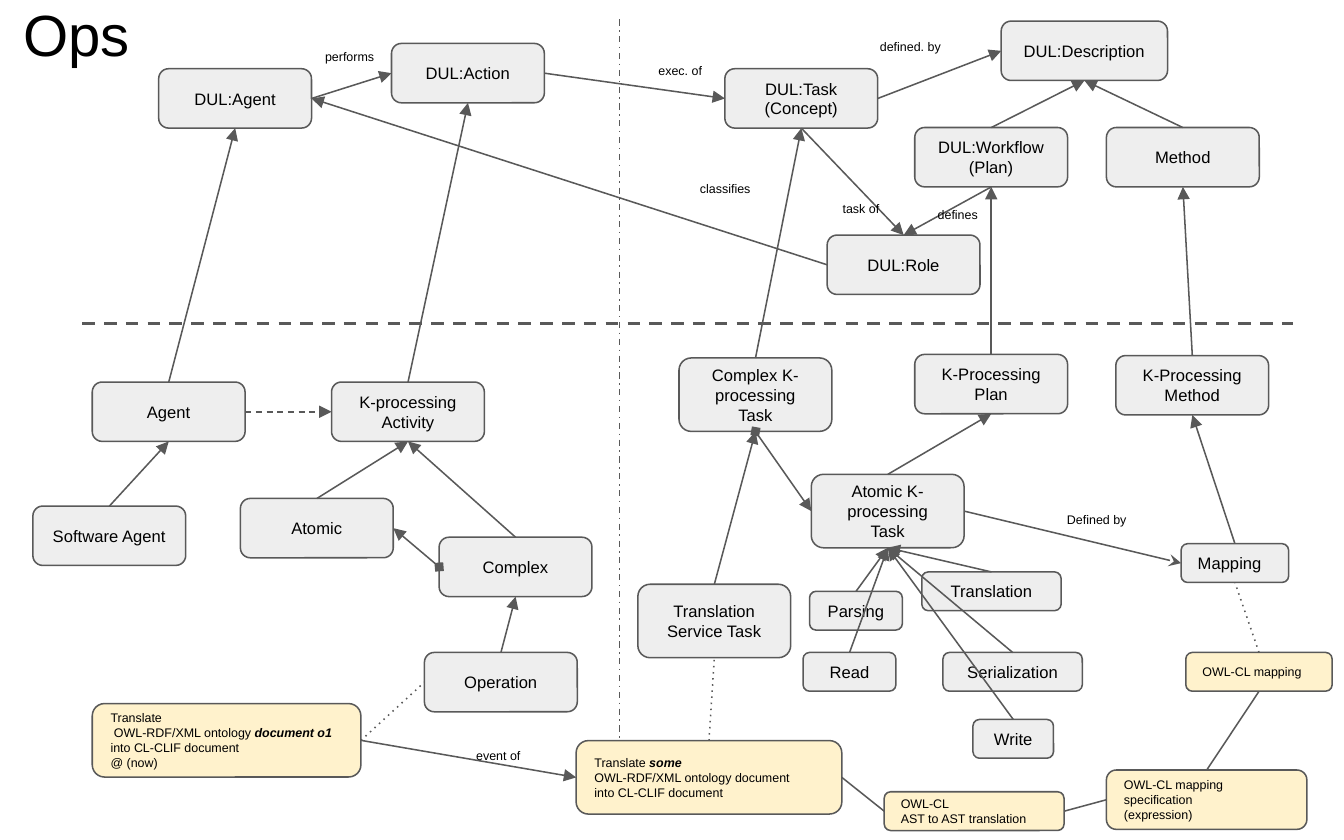
"""Builds the Ops slide: a map of agents, tasks, plans and their links."""
import pptx
import pptx.enum.shapes
import pptx.enum.text
import pptx.oxml
import pptx.oxml.ns
import pptx.util
from lxml import etree
from pptx.util import Cm

HUES = {"node": "EEEEEE", "note": "FFF2CC", "line": "595959", "text": "000000"}
FONT = "Arial"
TOP, LEFT, BASE, RIGHT = range(4)
HIGH, TALL, SLIM = 1.01, 1.25, 0.66
WIDE = 2.6

NODES = {
    "action": ("DUL:Action", 6.66, 0.74, WIDE, HIGH),
    "actor": ("DUL:Agent", 2.7, 1.17, WIDE, HIGH),
    "task": ("DUL:Task\n(Concept)", 12.33, 1.17, WIDE, HIGH),
    "about": ("DUL:Description", 17.03, 0.36, 2.83, HIGH),
    "flow": ("DUL:Workflow\n(Plan)", 15.56, 2.17, WIDE, HIGH),
    "method": ("Method", 18.82, 2.17, WIDE, HIGH),
    "role": ("DUL:Role", 14.07, 4, WIDE, HIGH),
    "agent": ("Agent", 1.57, 6.5, WIDE, HIGH),
    "act": ("K-processing Activity", 5.64, 6.5, WIDE, HIGH),
    "soft": ("Software Agent", 0.56, 8.61, WIDE, HIGH),
    "atom": ("Atomic", 4.09, 8.48, WIDE, HIGH),
    "complex": ("Complex", 7.47, 9.14, WIDE, HIGH),
    "run": ("Operation", 7.22, 11.1, WIDE, HIGH),
    "whole": ("Complex K-processing Task", 11.55, 6.09, WIDE, TALL),
    "part": ("Atomic K-processing Task", 13.8, 8.07, WIDE, TALL),
    "service": ("Translation\nService Task", 10.85, 9.94, WIDE, TALL),
    "parsing": ("Parsing", 13.77, 10.06, 1.58, SLIM),
    "turn": ("Translation", 15.68, 9.73, 2.37, SLIM),
    "read": ("Read", 13.66, 11.1, 1.58, SLIM),
    "serial": ("Serialization", 16.04, 11.1, 2.37, SLIM),
    "write": ("Write", 16.55, 12.24, 1.37, SLIM),
    "map": ("Mapping", 20.09, 9.25, 1.83, SLIM),
    "plan": ("K-Processing Plan", 15.56, 6.03, WIDE, HIGH),
    "means": ("K-Processing Method", 18.98, 6.05, WIDE, HIGH),
}
NOTES = {
    "now": ("Translate\n OWL-RDF/XML ontology *document o1* into CL-CLIF document\n@ (now)",
            1.57, 11.97, 4.57, TALL),
    "some": ("Translate *some*\nOWL-RDF/XML ontology document\ninto CL-CLIF document",
             9.8, 12.6, 4.52, TALL),
    "chart": ("OWL-CL mapping", 20.17, 11.1, 2.49, SLIM),
    "terms": ("OWL-CL mapping specification\n(expression)", 18.82, 13.1, 3.41, HIGH),
    "tree": ("OWL-CL\nAST to AST translation", 15.04, 13.47, 3.06, SLIM),
}
RISES = [
    ("flow", "about"), ("method", "about"), ("agent", "actor"), ("act", "action"),
    ("soft", "agent"), ("atom", "act"), ("complex", "act"), ("run", "complex"),
    ("whole", "task"), ("part", "plan"), ("service", "whole"), ("read", "part"),
    ("parsing", "part"), ("turn", "part"), ("serial", "part"), ("write", "part"),
    ("map", "means"), ("plan", "flow"), ("means", "method"),
]
ARROW = {"tail": "triangle"}
DOTS = {"dash": "dot"}
LINKS = [
    ("actor", RIGHT, "action", LEFT, ARROW),
    ("action", RIGHT, "task", LEFT, ARROW),
    ("task", RIGHT, "about", LEFT, ARROW),
    ("flow", BASE, "role", TOP, ARROW),
    ("role", LEFT, "actor", RIGHT, ARROW),
    ("task", BASE, "role", TOP, ARROW),
    ("agent", RIGHT, "act", LEFT, {"dash": "dash", "tail": "triangle"}),
    ("complex", LEFT, "atom", RIGHT, {"head": "diamond", "tail": "triangle"}),
    ("whole", BASE, "part", LEFT, {"head": "diamond", "tail": "triangle"}),
    ("part", RIGHT, "map", LEFT, {"tail": "stealth"}),
    ("now", RIGHT, "some", LEFT, ARROW),
    ("now", RIGHT, "run", LEFT, DOTS),
    ("some", TOP, "service", BASE, DOTS),
    ("chart", TOP, "map", BASE, DOTS),
    ("terms", TOP, "chart", BASE, {}),
    ("some", RIGHT, "tree", LEFT, {}),
    ("tree", RIGHT, "terms", LEFT, {}),
] + [(low, TOP, high, BASE, ARROW) for low, high in RISES]
GUIDES = [
    ((1.4, 5.51, 22, 5.51), 1.5, "dash"),
    ((10.54, 0.33, 10.54, 13.64), 0.75, "dashDot"),
]
LABELS = [
    ("performs", 5.28, 0.71, 1.4, 0.81, False),
    ("exec. of", 10.95, 0.94, 1.4, 0.81, False),
    ("defined. by", 14.43, 0.53, 2.11, 0.81, True),
    ("defines", 15.7, 3.4, 1.4, 0.41, False),
    ("classifies", 11.28, 2.95, 2.11, 0.81, True),
    ("task of", 13.59, 3.35, 2.11, 0.2, True),
    ("event of", 7.85, 12.6, 1.4, 0.81, False),
    ("Defined by", 17.6, 8.59, 2.11, 0.81, True),
]


def hue(name):
    return pptx.dml.color.RGBColor.from_string(HUES[name])


def fill_text(shape, text, size, mid):
    frame = shape.text_frame
    frame.word_wrap = True
    frame.margin_left = frame.margin_right = Cm(0.25)
    frame.margin_top = frame.margin_bottom = Cm(0.25)
    para = frame.paragraphs[0]
    align = pptx.enum.text.PP_ALIGN
    para.alignment = align.CENTER if mid else align.LEFT
    for turn, part in enumerate(text.split("*")):
        for row, words in enumerate(part.split("\n")):
            if row:
                para.add_line_break()
            if words:
                run = para.add_run()
                run.text = words
                run.font.bold = run.font.italic = turn % 2 == 1
                run.font.size = pptx.util.Pt(size)
                run.font.name = FONT
                run.font.color.rgb = hue("text")
    for gap in para._p.findall(pptx.oxml.ns.qn("a:br")):
        etree.SubElement(gap, pptx.oxml.ns.qn("a:rPr"), sz=str(size * 100))


def add_box(slide, item, tint, size, mid):
    text, *place = item
    kind = pptx.enum.shapes.MSO_SHAPE.ROUNDED_RECTANGLE
    box = slide.shapes.add_shape(kind, *map(Cm, place))
    box.shadow.inherit = False
    box.fill.solid()
    box.fill.fore_color.rgb = hue(tint)
    box.line.color.rgb = hue("line")
    box.line.width = pptx.util.Pt(0.75)
    box.text_frame.vertical_anchor = pptx.enum.text.MSO_ANCHOR.MIDDLE
    fill_text(box, text, size, mid)
    return box


def add_text(slide, text, place, size, mid=False):
    fill_text(slide.shapes.add_textbox(*map(Cm, place)), text, size, mid)


def add_line(slide, ends, width=0.75, dash=None, head=None, tail=None):
    kind = pptx.enum.shapes.MSO_CONNECTOR.STRAIGHT
    line = slide.shapes.add_connector(kind, *map(Cm, ends))
    line.line.color.rgb = hue("line")
    line.line.width = pptx.util.Pt(width)
    stroke = line.line._get_or_add_ln()
    marks = (("a:prstDash", "val", dash), ("a:headEnd", "type", head),
             ("a:tailEnd", "type", tail))
    for tag, key, mark in marks:
        if mark:
            etree.SubElement(stroke, pptx.oxml.ns.qn(tag), {key: mark})
    etree.SubElement(line._element.spPr, pptx.oxml.ns.qn("a:effectLst"))
    return line


def main():
    deck = pptx.Presentation()
    deck.slide_width, deck.slide_height = Cm(22.86), Cm(14.29)
    slide = deck.slides.add_slide(deck.slide_layouts[6])
    add_text(slide, "Ops", (0.15, -0.28, 2.92, 1.6), 28)
    for ends, width, dash in GUIDES:
        add_line(slide, ends, width, dash)
    boxes = {}
    for name, item in NODES.items():
        boxes[name] = add_box(slide, item, "node", 8, name != "map")
    for name, item in NOTES.items():
        boxes[name] = add_box(slide, item, "note", 6, False)
    for start, out, goal, into, style in LINKS:
        line = add_line(slide, (0, 0, 1, 1), **style)
        line.begin_connect(boxes[start], out)
        line.end_connect(boxes[goal], into)
    for text, *place, mid in LABELS:
        add_text(slide, text, place, 6, mid)
    deck.save("out.pptx")


if __name__ == "__main__":
    main()
